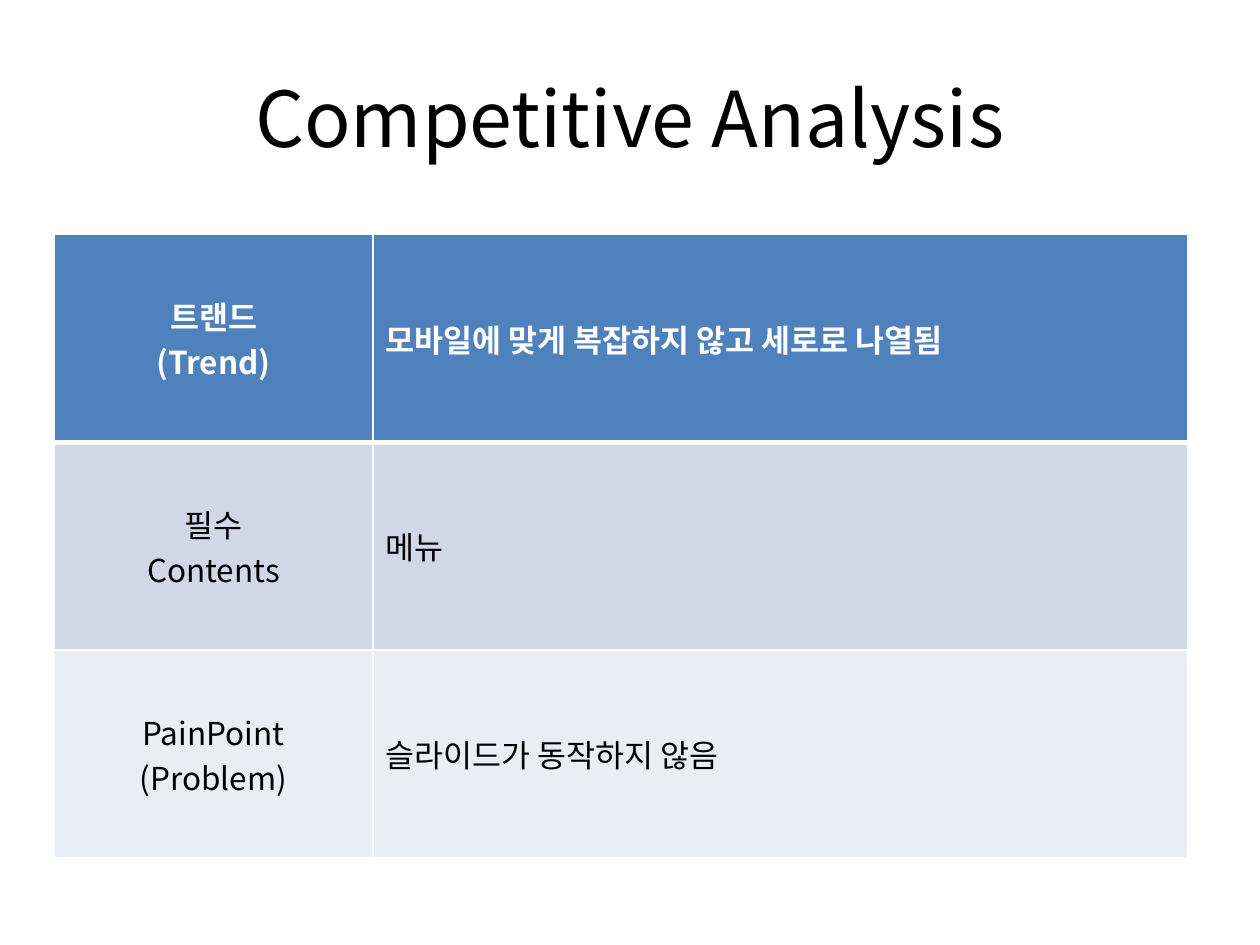
from lxml import etree
from pptx import Presentation
from pptx import util as u
from pptx.dml.color import RGBColor
from pptx.enum import text
from pptx.oxml.ns import qn

# Content
TITLE = "Competitive Analysis"
ROWS = [
    (("트랜드", "(Trend)"), "모바일에 맞게 복잡하지 않고 세로로 나열됨"),
    (("필수", "Contents"), "메뉴"),
    (("PainPoint", "(Problem)"), "슬라이드가 동작하지 않음"),
]

# Look
THEME = {
    "font": "Noto Sans CJK KR",
    "title": {"size": u.Pt(44), "bold": False, "color": "000000"},
    "header": {"size": u.Pt(18), "bold": True, "color": "FFFFFF"},
    "body": {"size": u.Pt(18), "bold": False, "color": "000000"},
    "fills": ["4F81BD", "D0D8E8", "E9EDF4"],
    "border": "FFFFFF",
    "thin": 1,
    "thick": 3,
}
TITLE_BOX = (0.5, 0.3, 9, 1.25)
TABLE_LEFT, TABLE_TOP = 0.43, 1.86
COL_WIDTHS = (2.53, 6.47)
ROW_HEIGHT = 1.65


def write(frame, lines, style, align):
    """Write one paragraph for each line in the given style."""
    for i, line in enumerate(lines):
        paragraph = frame.paragraphs[0] if i == 0 else frame.add_paragraph()
        paragraph.alignment = align
        run = paragraph.add_run()
        run.text = line
        formats = {"name": THEME["font"], "size": style["size"], "bold": style["bold"]}
        for attribute, value in formats.items():
            setattr(run.font, attribute, value)
        run.font.color.rgb = RGBColor.from_string(style["color"])
        # Hangul takes the East Asian typeface
        etree.SubElement(run.font._element, qn("a:ea"), typeface=THEME["font"])


def set_borders(cell, widths):
    """Draw the borders, which must stand before the fill in tcPr."""
    properties = cell._tc.get_or_add_tcPr()
    for i, (side, width) in enumerate(widths.items()):
        line = etree.Element(qn(f"a:ln{side}"), w=str(u.Pt(width)))
        fill = etree.SubElement(line, qn("a:solidFill"))
        etree.SubElement(fill, qn("a:srgbClr"), val=THEME["border"])
        properties.insert(i, line)


def main():
    deck = Presentation()
    deck.slide_width, deck.slide_height = u.Inches(10), u.Inches(7.5)
    slide = deck.slides.add_slide(deck.slide_layouts[6])

    # Title
    heading = slide.shapes.add_textbox(*map(u.Inches, TITLE_BOX)).text_frame
    heading.word_wrap = True
    heading.vertical_anchor = text.MSO_ANCHOR.MIDDLE
    write(heading, [TITLE], THEME["title"], text.PP_ALIGN.CENTER)

    # Analysis table
    extent = (TABLE_LEFT, TABLE_TOP, sum(COL_WIDTHS), ROW_HEIGHT * len(ROWS))
    analysis = slide.shapes.add_table(
        len(ROWS), len(COL_WIDTHS), *map(u.Inches, extent)
    ).table
    for column, width in zip(analysis.columns, COL_WIDTHS):
        column.width = u.Inches(width)

    for r, (topic, finding) in enumerate(ROWS):
        analysis.rows[r].height = u.Inches(ROW_HEIGHT)
        style = THEME["header" if r == 0 else "body"]
        thin, thick = THEME["thin"], THEME["thick"]
        widths = {"L": thin, "R": thin,
                  "T": thick if r == 1 else thin,
                  "B": thick if r == 0 else thin}
        entries = [(topic, text.PP_ALIGN.CENTER), ([finding], text.PP_ALIGN.LEFT)]
        for c, (lines, align) in enumerate(entries):
            cell = analysis.cell(r, c)
            cell.vertical_anchor = text.MSO_ANCHOR.MIDDLE
            cell.fill.solid()
            cell.fill.fore_color.rgb = RGBColor.from_string(THEME["fills"][r])
            set_borders(cell, widths)
            write(cell.text_frame, lines, style, align)

    deck.save("out.pptx")


if __name__ == "__main__":
    main()
